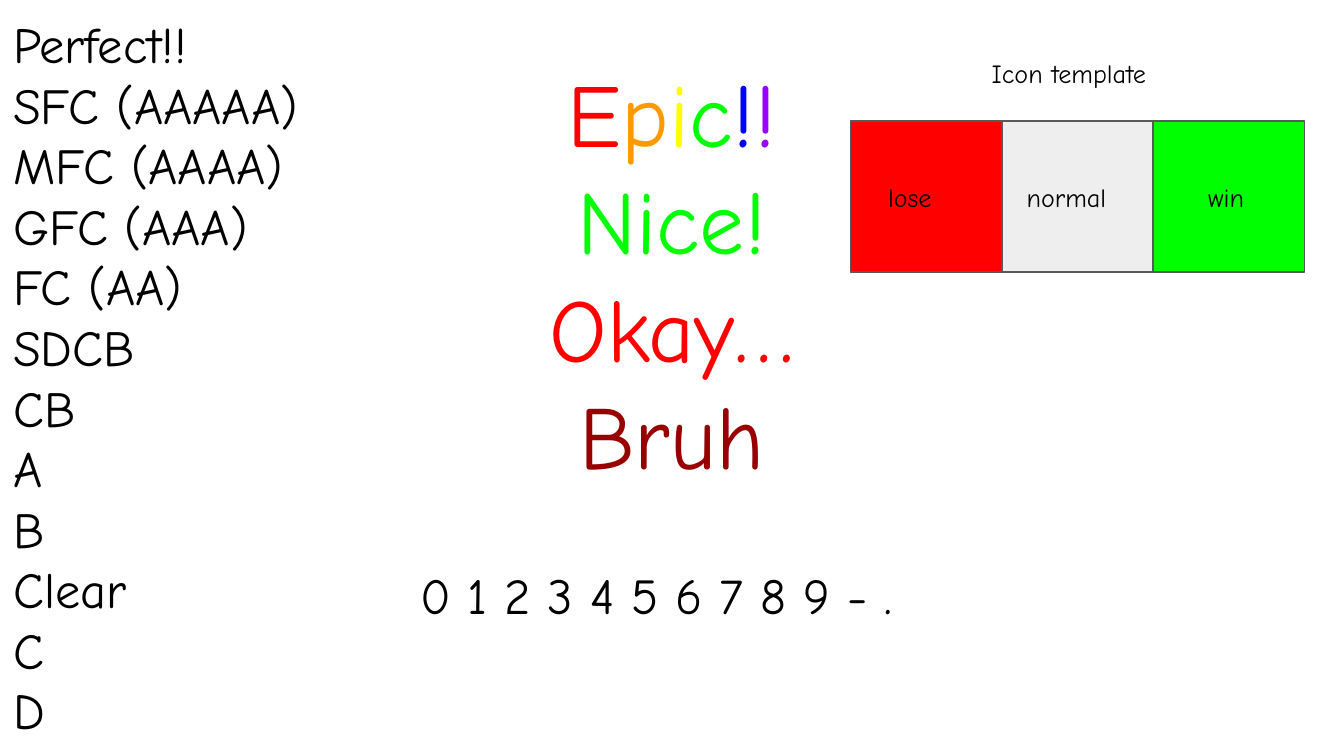
import pptx
import pptx.dml.color
import pptx.enum.shapes
import pptx.enum.text
import pptx.util

Inches = pptx.util.Inches
FONT = "Comic Neue"
BLACK, RED, GREEN = "000000", "FF0000", "00FF00"

RATINGS = ["Perfect!!", "SFC (AAAAA)", "MFC (AAAA)", "GFC (AAA)", "FC (AA)", "SDCB",
           "CB", "A", "B", "Clear", "C", "D"]

# Each judgement is a line of (text, colour) pieces
JUDGEMENTS = [
    [("E", RED), ("p", "FF9900"), ("i", "FFFF00"), ("c", GREEN), ("!", "0000FF"), ("!", "9900FF")],
    [("Nice!", GREEN)],
    [("Okay…", RED)],
    [("Bruh", "980000")],
]

# Icon states from back to front: column, fill, label, label left, label width
ICON_STATES = [
    (1, "EEEEEE", "normal", 7.54, 0.95),
    (0, RED, "lose", 6.51, 0.71),
    (2, GREEN, "win", 8.89, 0.51),
]
ICON_LEFT, ICON_TOP, ICON_SIZE = 6.33, 0.9, 1.125


def color(value):
    return pptx.dml.color.RGBColor.from_string(value)


def add_text(page, lines, left, top, width, height, size=14, align="LEFT"):
    """Add a text box; a line is a string or a list of (text, colour) pieces."""
    box = page.shapes.add_textbox(Inches(left), Inches(top), Inches(width), Inches(height))
    frame = box.text_frame
    frame.word_wrap = True
    frame.margin_left = frame.margin_right = Inches(0.1)
    frame.margin_top = frame.margin_bottom = Inches(0.1)
    for index, line in enumerate(lines):
        para = frame.add_paragraph() if index else frame.paragraphs[0]
        para.alignment = getattr(pptx.enum.text.PP_ALIGN, align)
        pieces = [(line, BLACK)] if isinstance(line, str) else line
        for text, value in pieces:
            span = para.add_run()
            span.text = text
            span.font.name = FONT
            span.font.size = pptx.util.Pt(size)
            span.font.color.rgb = color(value)


def add_square(page, left, top, size, fill):
    square = page.shapes.add_shape(pptx.enum.shapes.MSO_SHAPE.RECTANGLE, Inches(left),
                                   Inches(top), Inches(size), Inches(size))
    square.shadow.inherit = False
    square.fill.solid()
    square.fill.fore_color.rgb = color(fill)
    square.line.color.rgb = color("595959")
    square.line.width = pptx.util.Pt(0.75)


def main():
    deck = pptx.Presentation()
    deck.slide_width, deck.slide_height = Inches(10), Inches(5.625)
    page = deck.slides.add_slide(deck.slide_layouts[6])

    # Ratings, judgements and digits
    add_text(page, RATINGS, 0, 0, 2.7, 5.62, size=27)
    add_text(page, JUDGEMENTS, 3.72, 0.33, 2.56, 3.55, size=48, align="CENTER")
    add_text(page, ["0 1 2 3 4 5 6 7 8 9 - ."], 3.03, 4.1, 3.94, 0.7, size=27)

    # Icon template: squares first, then the words on top
    for column, fill, *_ in ICON_STATES:
        add_square(page, ICON_LEFT + column * ICON_SIZE, ICON_TOP, ICON_SIZE, fill)
    add_text(page, ["Icon template"], 7.28, 0.33, 1.48, 0.44)
    for _, _, label, left, width in ICON_STATES:
        add_text(page, [label], left, 1.25, width, 0.44)

    deck.save("out.pptx")


if __name__ == "__main__":
    main()
